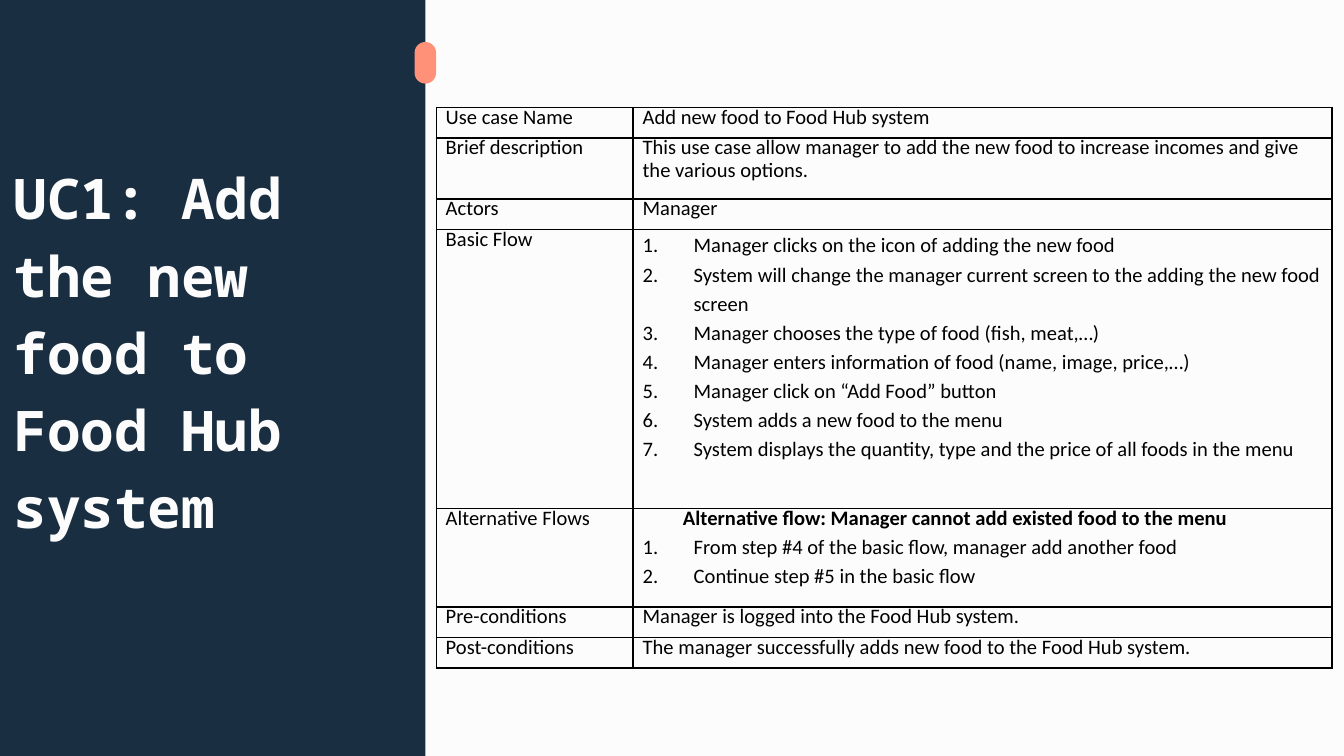
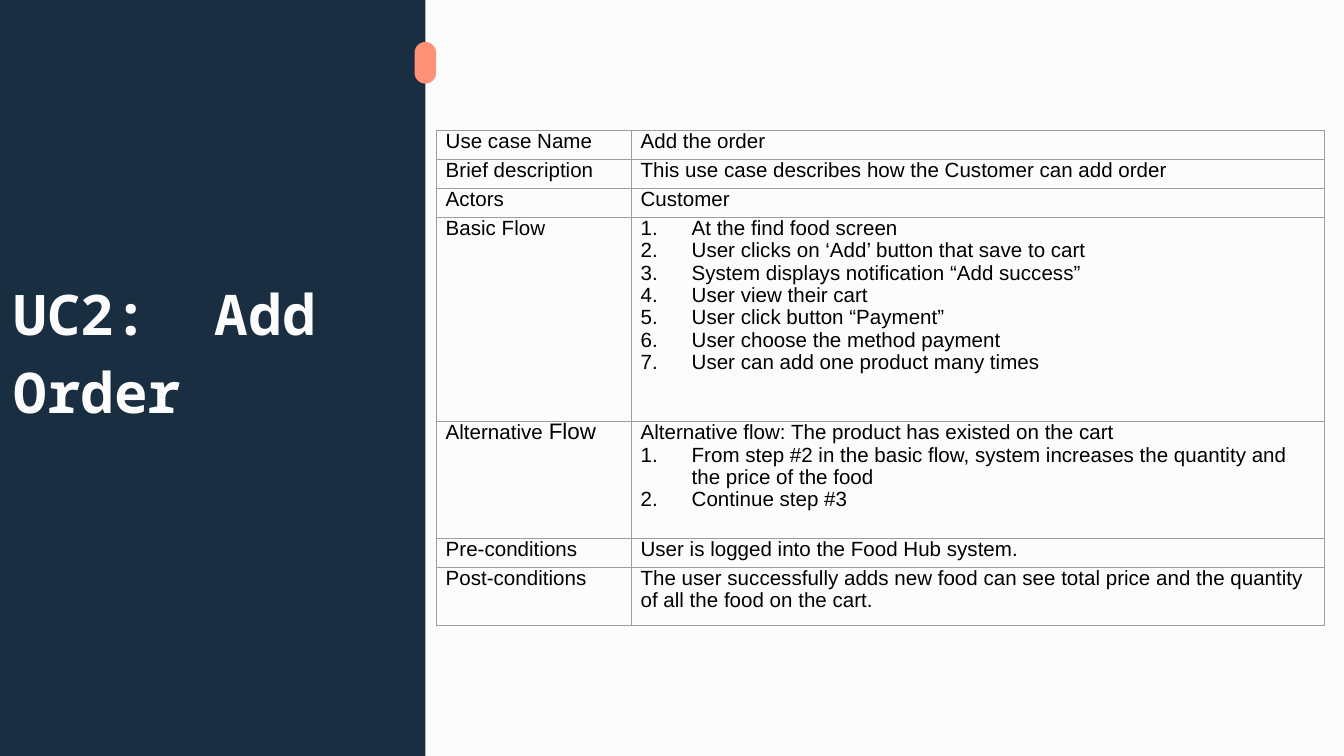
import pptx
import pptx.dml.color
import pptx.enum.shapes
import pptx.enum.text
import pptx.oxml.ns
import pptx.util
from lxml import etree

# Grid: one column or row is a tenth of an inch, on a 16:9 slide
GRID = 0.1
COLUMNS, ROWS = 100, 56.25
COLORS = {"paper": "FCFCFC", "navy": "192E40", "coral": "FF9179",
          "ink": "000000", "gray": "9E9E9E"}
TITLE_FONT = {"name": "Noto Sans Mono", "size": pptx.util.Pt(30), "bold": True}
TITLE_FRAME = {"word_wrap": True,
               "auto_size": pptx.enum.text.MSO_AUTO_SIZE.NONE,
               "vertical_anchor": pptx.enum.text.MSO_ANCHOR.MIDDLE}
TITLE_MARGINS = dict.fromkeys(
    ("margin_left", "margin_top", "margin_right", "margin_bottom"),
    pptx.util.Inches(0.1))
CELL_FORMAT = {"margin_left": pptx.util.Inches(0.07), "margin_top": 0,
               "margin_right": pptx.util.Inches(0.07), "margin_bottom": 0}
TABLE_FORMAT = {"first_row": False, "horz_banding": False}
TIGHT = pptx.util.Pt(12)
LOOSE = 1.15


# Basic helpers
def grid(*counts):
    return [pptx.util.Inches(n * GRID) for n in counts]


def rgb(name):
    return pptx.dml.color.RGBColor.from_string(COLORS[name])


def apply(target, formats):
    for name, value in formats.items():
        setattr(target, name, value)


def add_xml(parent, tag, **attributes):
    return etree.SubElement(parent, pptx.oxml.ns.qn(tag), attributes)


# Cell content: each cell is a list of paragraph descriptions
def plain(*runs, indent=0, bold=False):
    return [{"runs": [(r, 11) if isinstance(r, str) else r for r in runs],
             "indent": indent, "bold": bold, "spacing": TIGHT, "number": False}]


def steps(*texts, spacing=TIGHT):
    return [{"runs": [(text, 11)], "indent": 0.38, "bold": False,
             "spacing": spacing, "number": True} for text in texts]


# Slide elements
def add_block(s, preset, box, color):
    sp = s.shapes.add_shape(preset, *grid(*box))
    sp.shadow.inherit = False
    sp.fill.solid()
    sp.fill.fore_color.rgb = rgb(color)
    sp.line.fill.background()
    return sp


def add_panel(s, text):
    shapes = pptx.enum.shapes.MSO_SHAPE
    title = s.shapes.title
    panel = add_block(s, shapes.RECTANGLE, (-1.3, -0.9, 32.95, 58), "navy")
    title._element.addprevious(panel._element)
    marker = add_block(s, shapes.ROUNDED_RECTANGLE, (30.1, 3.87, 3.1, 1.6), "coral")
    apply(marker, {"rotation": 270})
    marker.adjustments[0] = 0.5

    apply(title, dict(zip(("left", "top", "width", "height"),
                          grid(0, 14.12, 30.8, 23.4))))
    tf = title.text_frame
    apply(tf, {**TITLE_FRAME, **TITLE_MARGINS})
    p = tf.paragraphs[0]
    apply(p, {"alignment": pptx.enum.text.PP_ALIGN.LEFT, "line_spacing": LOOSE})
    r = p.add_run()
    r.text = text
    apply(r.font, TITLE_FONT)
    r.font.color.rgb = rgb("paper")


def add_borders(cell, color, width):
    tcPr = cell._tc.get_or_add_tcPr()
    for tag in ("a:lnL", "a:lnR", "a:lnT", "a:lnB"):
        line = add_xml(tcPr, tag, w=str(pptx.util.Pt(width)))
        fill = add_xml(line, "a:solidFill")
        add_xml(fill, "a:srgbClr", val=COLORS[color])


def write_paragraph(p, content, font):
    p.line_spacing = content["spacing"]
    pPr = p._p.get_or_add_pPr()
    indent = pptx.util.Inches(content["indent"])
    pPr.set("marL", str(indent))
    pPr.set("indent", str(-indent if content["number"] else 0))
    if content["number"]:
        add_xml(add_xml(pPr, "a:buClr"), "a:srgbClr", val=COLORS["ink"])
        add_xml(pPr, "a:buAutoNum", type="arabicPeriod")
    for text, size in content["runs"]:
        r = p.add_run()
        r.text = text
        apply(r.font, {"name": font, "size": pptx.util.Pt(size),
                       "bold": content["bold"]})
        r.font.color.rgb = rgb("ink")


def write_cell(cell, paragraphs, font, border):
    apply(cell, CELL_FORMAT)
    add_borders(cell, *border)
    cell.fill.background()
    tf = cell.text_frame
    for i, content in enumerate(paragraphs):
        p = tf.add_paragraph() if i else tf.paragraphs[0]
        write_paragraph(p, content, font)


def add_use_case_table(s, top, widths, heights, font, border, rows):
    frame = s.shapes.add_table(len(rows), len(widths),
                               *grid(32.47, top, sum(widths), sum(heights)))
    table = frame.table
    apply(table, TABLE_FORMAT)
    for column, width in zip(table.columns, grid(*widths)):
        column.width = width
    for row, height, contents in zip(table.rows, grid(*heights), rows):
        row.height = height
        for cell, paragraphs in zip(row.cells, contents):
            write_cell(cell, paragraphs, font, border)


# Use cases
ADD_FOOD = {
    "top": 8, "widths": (14.65, 52), "font": "Calibri", "border": ("ink", 1),
    "heights": (2.27, 4.54, 2.27, 20.76, 7.33, 2.27, 2.27),
    "rows": [
        (plain("Use case Name"), plain("Add new food to Food Hub system")),
        (plain("Brief description"),
         plain("This use case allow manager to add the new food to increase "
               "incomes and give the various options.")),
        (plain("Actors"), plain("Manager")),
        (plain("Basic Flow"), steps(
            "Manager clicks on the icon of adding the new food",
            "System will change the manager current screen to the adding the "
            "new food screen",
            "Manager chooses the type of food (fish, meat,…)",
            "Manager enters information of food (name, image, price,…)",
            "Manager click on “Add Food” button",
            "System adds a new food to the menu",
            "System displays the quantity, type and the price of all foods in "
            "the menu", spacing=LOOSE)),
        (plain("Alternative Flows"),
         plain("Alternative flow: Manager cannot add existed food to the menu",
               indent=0.3, bold=True)
         + steps("From step #4 of the basic flow, manager add another food",
                 "Continue step #5 in the basic flow", spacing=LOOSE)),
        (plain("Pre-conditions"),
         plain("Manager is logged into the Food Hub system.")),
        (plain("Post-conditions"),
         plain("The manager successfully adds new food to the Food Hub system.")),
    ],
}
ADD_ORDER = {
    "top": 9.7, "widths": (14.5, 51.6), "font": "Arial", "border": ("gray", 0.75),
    "heights": (2.16, 2.16, 2.16, 15.2, 8.7, 2.16, 4.33),
    "rows": [
        (plain("Use case Name"), plain("Add the order")),
        (plain("Brief description"),
         plain("This use case describes how the Customer can add order")),
        (plain("Actors"), plain("Customer")),
        (plain("Basic Flow"), steps(
            "At the find food screen",
            "User clicks on ‘Add’ button that save to cart",
            "System displays notification “Add success”",
            "User view their cart",
            "User click button “Payment”",
            "User choose the method payment",
            "User can add one product many times")),
        (plain("Alternative ", ("Flow", 12)),
         plain("Alternative flow: The product has existed on the cart")
         + steps("From step #2 in the basic flow, system increases the quantity "
                 "and the price of the food", "Continue step #3")),
        (plain("Pre-conditions"),
         plain("User is logged into the Food Hub system.")),
        (plain("Post-conditions"),
         plain("The user successfully adds new food can see total price and the "
               "quantity of all the food on the cart.")),
    ],
}


def main():
    prs = pptx.Presentation()
    prs.slide_width, prs.slide_height = grid(COLUMNS, ROWS)
    background = prs.slide_master.background.fill
    background.solid()
    background.fore_color.rgb = rgb("paper")
    title_only = prs.slide_layouts.get_by_name("Title Only")
    for title, use_case in (("UC1: Add the new food to Food Hub system", ADD_FOOD),
                            ("UC2:  Add Order", ADD_ORDER)):
        s = prs.slides.add_slide(title_only)
        add_panel(s, title)
        add_use_case_table(s, **use_case)
    prs.save("out.pptx")


if __name__ == "__main__":
    main()
